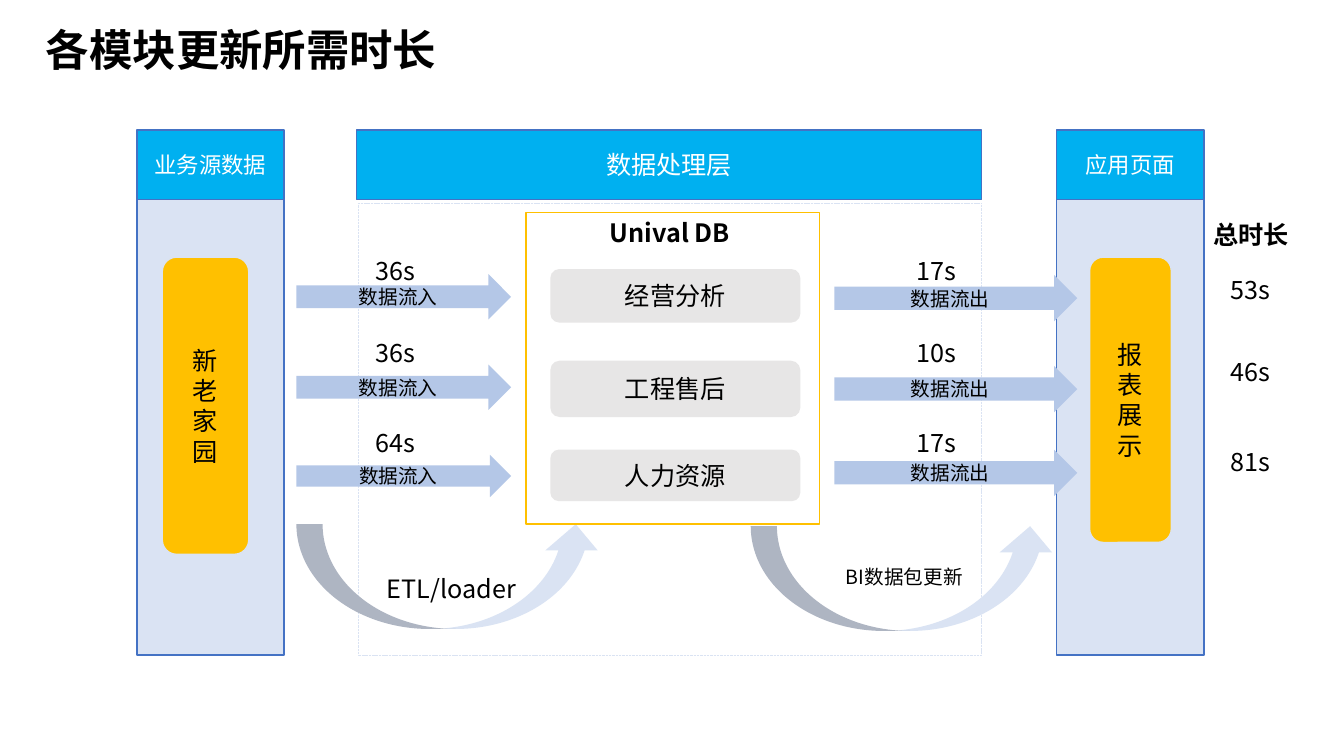
from collections import namedtuple
from dataclasses import dataclass

from pptx import Presentation
from pptx.dml.color import RGBColor
from pptx.enum.dml import MSO_LINE
from pptx.enum.shapes import MSO_SHAPE as Preset
from pptx.enum.text import MSO_ANCHOR as Anchor, PP_ALIGN as Align
from pptx.oxml.ns import qn
from pptx.util import Cm, Pt

Box = namedtuple("Box", "left top width height")
Row = namedtuple("Row", "module inflow outflow total time_top module_span in_span out_span")


@dataclass(frozen=True)
class Theme:
    """Colours, fonts and type sizes of the slide."""
    ink: str = "000000"
    paper: str = "FFFFFF"
    header: str = "00B0F0"
    border: str = "4472C4"
    pale: str = "DAE3F3"
    flow: str = "B4C7E7"
    accent: str = "FFC000"
    module: str = "E7E6E6"
    font: str = "Noto Sans CJK SC"
    latin: str = "Arial"
    title: int = 31
    body: int = 18
    label: int = 16
    small: int = 14


THEME = Theme()

ROWS = [
    Row("经营分析", "36s", "17s", "53s", 6.3, (6.78, 1.35), (6.91, 1.14), (6.93, 1.17)),
    Row("工程售后", "36s", "10s", "46s", 8.38, (9.09, 1.42), (9.19, 1.14), (9.22, 1.17)),
    Row("人力资源", "64s", "17s", "81s", 10.64, (11.33, 1.3), (11.46, 1.07), (11.33, 1.17)),
]


def inside(box, left, top, width, height):
    """Return a box whose offset is measured from another box."""
    return Box(box.left + left, box.top + top, width, height)


def write(shape, text, size, color=THEME.ink, align=Align.CENTER,
          anchor=Anchor.MIDDLE, bold=False, latin=THEME.font):
    """Fill a shape with formatted text, one paragraph per line."""
    frame = shape.text_frame
    frame.word_wrap = True
    frame.vertical_anchor = anchor
    frame.text = text
    for para in frame.paragraphs:
        para.alignment = align
        for span in para.runs:
            span.font.size = Pt(size)
            span.font.bold = bold
            span.font.color.rgb = RGBColor.from_string(color)
            span.font.name = latin
            east = span.font._element.makeelement(qn("a:ea"), {"typeface": THEME.font})
            span.font._element.find(qn("a:latin")).addnext(east)


def add_block(page, preset, box, fill=None, line=None, weight=1):
    """Add a preset shape with a plain fill and outline."""
    shape = page.shapes.add_shape(preset, *map(Cm, box))
    shape.shadow.inherit = False
    if fill:
        shape.fill.solid()
        shape.fill.fore_color.rgb = RGBColor.from_string(fill)
    else:
        shape.fill.background()
    if line:
        shape.line.color.rgb = RGBColor.from_string(line)
        shape.line.width = Pt(weight)
    else:
        shape.line.fill.background()
    return shape


def add_note(page, box, text, size=THEME.body, align=Align.LEFT,
             anchor=Anchor.TOP, bold=False):
    """Add a free text box."""
    note = page.shapes.add_textbox(*map(Cm, box))
    write(note, text, size, align=align, anchor=anchor, bold=bold)
    return note


def add_title(page, box, text):
    """Add the slide title."""
    title = add_note(page, box, text, THEME.title, anchor=Anchor.MIDDLE, bold=True)
    title.text_frame.paragraphs[0].line_spacing = 0.9


def add_header(page, box, text, size):
    """Add the coloured header bar along the top of a region."""
    bar = add_block(page, Preset.RECTANGLE, inside(box, 0, 0, box.width, 1.75),
                    THEME.header, THEME.border)
    write(bar, text, size, THEME.paper)


def add_column(page, box, heading, name, pill, latin):
    """Add an outer column with its header and upright pill."""
    add_block(page, Preset.RECTANGLE, inside(box, 0, 1.75, box.width, box.height - 1.75),
              THEME.pale, THEME.border)
    add_header(page, box, heading, THEME.label)
    body = add_block(page, Preset.ROUNDED_RECTANGLE, inside(box, *pill),
                     THEME.accent, THEME.pale)
    write(body, "\n".join(name), THEME.body, latin=latin)


def add_layer(page, box):
    """Add the processing layer with its dashed frame."""
    add_header(page, box, "数据处理层", THEME.body)
    frame = add_block(page, Preset.RECTANGLE,
                      inside(box, 0.03, 1.83, box.width - 0.03, box.height - 1.83),
                      line=THEME.pale, weight=0.25)
    frame.line.dash_style = MSO_LINE.SQUARE_DOT


def add_database(page, box):
    """Add the database frame, its caption and its modules."""
    for row in ROWS:
        top, height = row.module_span
        module = add_block(page, Preset.ROUNDED_RECTANGLE,
                           Box(box.left + 0.61, top, 6.3, height), THEME.module)
        write(module, row.module, THEME.body)
    caption = add_block(page, Preset.RECTANGLE, inside(box, 1.22, 0, 4.8, 1.02), THEME.paper)
    write(caption, "Unival DB", THEME.body, anchor=Anchor.TOP, bold=True)
    add_block(page, Preset.RECTANGLE, box, line=THEME.accent)


def add_flow(page, box, text, time, time_left, time_top):
    """Add one flow arrow and the time above it."""
    arrow = add_block(page, Preset.RIGHT_ARROW, box, THEME.flow)
    write(arrow, text, THEME.small)
    add_note(page, Box(time_left, time_top, 2.49, 1.02), time)


def add_update(page, box, text, note, size, align):
    """Add a curved arrow with the name of the update step."""
    add_block(page, Preset.CURVED_UP_ARROW, box, THEME.pale)
    add_note(page, inside(box, *note), text, size, align)


def add_totals(page, box):
    """Add the heading and the total time of every row."""
    add_note(page, inside(box, 0, 0, box.width, 1.02), "总时长", bold=True)
    for row in ROWS:
        add_note(page, Box(box.left + 0.43, row.time_top + 0.48, 2.49, 1.02), row.total)


def build_page(page):
    """Place every region of the slide."""
    add_title(page, Box(0.91, 0.41, 29.21, 1.85), "各模块更新所需时长")
    add_column(page, Box(3.45, 3.28, 3.71, 13.23), "业务源数据", "新老家园",
               (0.64, 3.2, 2.18, 7.49), THEME.latin)
    add_column(page, Box(26.63, 3.28, 3.71, 13.23), "应用页面", "报表展示",
               (0.83, 3.2, 2.06, 7.19), THEME.font)
    add_layer(page, Box(8.99, 3.28, 15.75, 13.23))
    for row in ROWS:
        (in_top, in_height), (out_top, out_height) = row.in_span, row.out_span
        add_flow(page, Box(7.47, in_top, 5.41, in_height), "数据流入",
                 row.inflow, 9.22, row.time_top)
        add_flow(page, Box(21.03, out_top, 6.12, out_height), "数据流出",
                 row.outflow, 22.86, row.time_top)
    add_update(page, Box(7.47, 13.21, 7.7, 2.64), "ETL/loader",
               (2.03, 1.12, 4.29, 1.02), THEME.body, Align.LEFT)
    add_update(page, Box(18.92, 13.26, 7.7, 2.64), "BI数据包更新",
               (1.15, 0.84, 5.44, 0.86), THEME.small, Align.CENTER)
    add_database(page, Box(13.26, 5.36, 7.39, 7.85))
    add_totals(page, Box(30.33, 5.41, 2.54, 8))


def main():
    """Create the deck and save it."""
    deck = Presentation()
    deck.slide_width, deck.slide_height = Cm(33.87), Cm(19.05)
    build_page(deck.slides.add_slide(deck.slide_layouts[6]))
    deck.save("out.pptx")


main()
